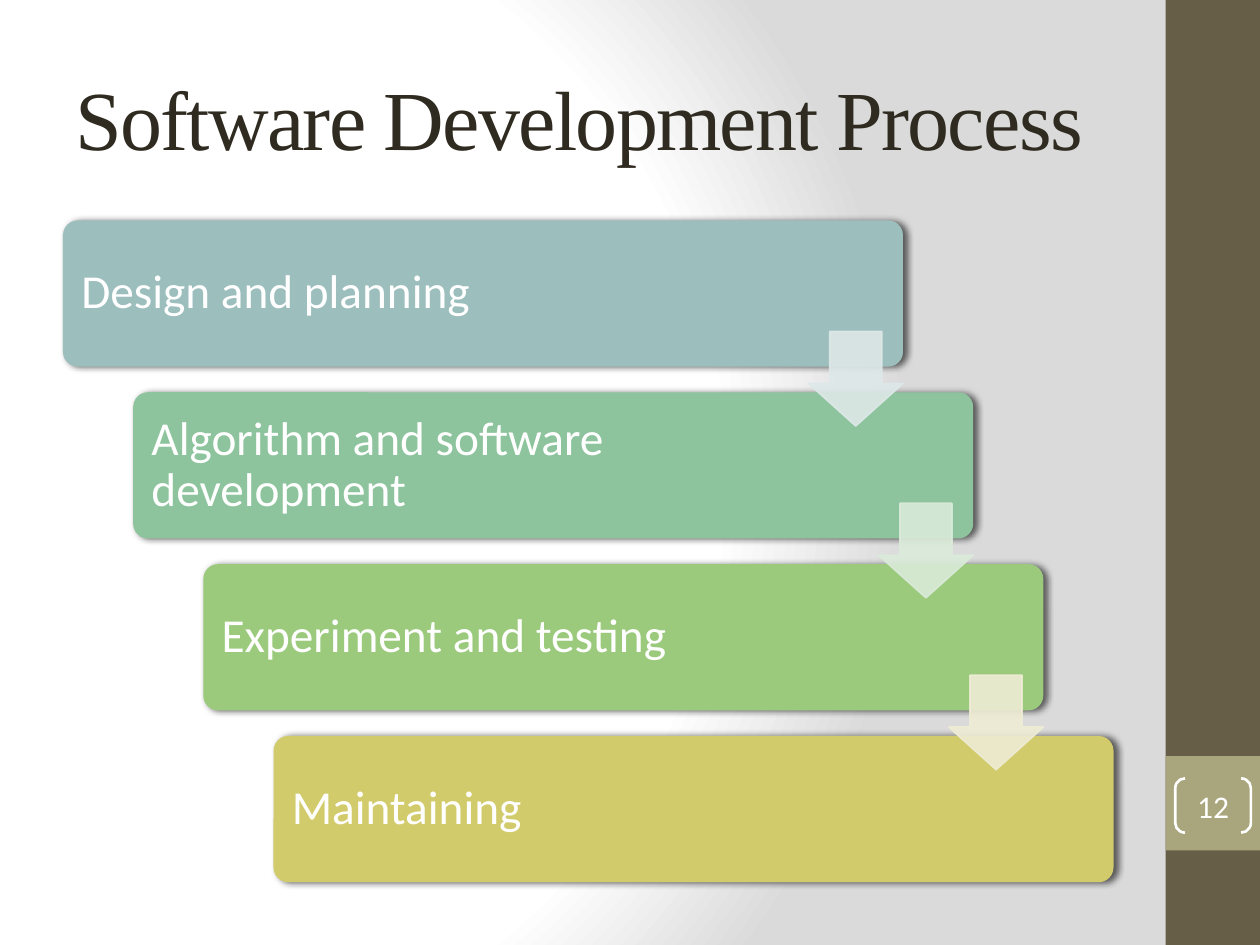
from pptx import Presentation
from pptx.dml.color import RGBColor
from pptx.enum.shapes import MSO_SHAPE as SHAPE
from pptx.enum.text import MSO_ANCHOR as ANCHOR, PP_ALIGN as ALIGN
from pptx.oxml import parse_xml
from pptx.oxml.ns import nsdecls, qn
from pptx.util import Pt
from lxml.etree import SubElement

WHITE = RGBColor(0xFF, 0xFF, 0xFF)
INK = RGBColor(0x2F, 0x2B, 0x20)
BROWN = RGBColor(0x67, 0x5E, 0x47)
KHAKI = RGBColor(0xA9, 0xA5, 0x7C)

# Step text, box colour, colour of the arrow to the next step
STEPS = [
    ("Design and planning", RGBColor(0x9C, 0xBE, 0xBD), RGBColor(0xDE, 0xE8, 0xE8)),
    ("Algorithm and software development", RGBColor(0x8D, 0xC4, 0x9D), RGBColor(0xDA, 0xEB, 0xD9)),
    ("Experiment and testing", RGBColor(0x9B, 0xCA, 0x7D), RGBColor(0xEE, 0xEC, 0xD4)),
    ("Maintaining", RGBColor(0xD2, 0xCB, 0x6C), None),
]
LEFT, TOP = 36, 126
STEP_X, STEP_Y = 40.1, 98.2
BOX_W, BOX_H, ARROW = 480, 83.5, 54

BACKGROUND = f"""<a:gradFill {nsdecls("a")} rotWithShape="1"><a:gsLst>
<a:gs pos="0"><a:srgbClr val="FFFFFF"/></a:gs>
<a:gs pos="75000"><a:srgbClr val="FFFFFF"/></a:gs>
<a:gs pos="100000"><a:srgbClr val="DADADA"/></a:gs></a:gsLst>
<a:path path="circle"><a:fillToRect l="20000" t="50000" r="100000" b="50000"/></a:path>
</a:gradFill>"""
SHADOW = f"""<a:outerShdw {nsdecls("a")} blurRad="{Pt(4)}" dist="{Pt(2)}" dir="0" rotWithShape="0">
<a:srgbClr val="000000"><a:alpha val="60000"/></a:srgbClr></a:outerShdw>"""


def add_shape(kind, x, y, w, h, fill=None):
    sp = s.shapes.add_shape(kind, Pt(x), Pt(y), Pt(w), Pt(h))
    sp.shadow.inherit = False
    sp.line.fill.background()
    if fill is None:
        sp.fill.background()
    else:
        sp.fill.solid()
        sp.fill.fore_color.rgb = fill
    return sp


def write(sp, text, font, size, color, align=ALIGN.LEFT):
    tf = sp.text_frame
    tf.word_wrap = True
    tf.vertical_anchor = ANCHOR.MIDDLE
    tf.text = text
    p = tf.paragraphs[0]
    p.alignment = align
    r = p.runs[0]
    r.font.name, r.font.size, r.font.color.rgb = font, Pt(size), color
    return p


prs = Presentation()
prs.slide_width, prs.slide_height = Pt(720), Pt(540)
s = prs.slides.add_slide(prs.slide_layouts[6])

s.background.fill.gradient()
grad = s._element.find(".//" + qn("a:gradFill"))
grad.getparent().replace(grad, parse_xml(BACKGROUND))

# Side band with the slide number
add_shape(SHAPE.RECTANGLE, 666, 0, 54, 540, BROWN)
add_shape(SHAPE.RECTANGLE, 666, 432, 54, 54, KHAKI)
number = add_shape(SHAPE.DOUBLE_BRACKET, 671.6, 444.8, 43.2, 31)
number.adjustments[0] = 0.18
number.line.color.rgb = WHITE
number.line.width = Pt(1.5)
tf = number.text_frame
tf.margin_left = tf.margin_right = tf.margin_top = tf.margin_bottom = 0
write(number, "12", "Calibri", 18, WHITE, ALIGN.CENTER)

title = s.shapes.add_textbox(Pt(36), Pt(21.6), Pt(600), Pt(90))
p = write(title, "Software Development Process", "Times New Roman", 48, INK)
p.runs[0].font._element.set("spc", "-100")

# Staircase of steps
for i, (text, color, _) in enumerate(STEPS):
    box = add_shape(SHAPE.ROUNDED_RECTANGLE, LEFT + i * STEP_X, TOP + i * STEP_Y, BOX_W, BOX_H, color)
    box.adjustments[0] = 0.1
    box._element.spPr.find(qn("a:effectLst")).append(parse_xml(SHADOW))
    box.text_frame.margin_left = Pt(8)
    box.text_frame.margin_right = Pt(100)
    write(box, text, "Calibri", 27, WHITE).line_spacing = 0.9

# Arrows are drawn last so that they overlap both neighbouring boxes
for i, (_, _, color) in enumerate(STEPS[:-1]):
    x = LEFT + BOX_W - ARROW + i * STEP_X
    arrow = add_shape(SHAPE.DOWN_ARROW, x, 189.4 + i * STEP_Y, ARROW, ARROW, color)
    arrow.adjustments[0], arrow.adjustments[1] = 0.55, 0.45
    arrow.line.color.rgb = color
    arrow.line.width = Pt(1)
    for clr in arrow._element.spPr.iter(qn("a:srgbClr")):
        SubElement(clr, qn("a:alpha"), val="90000")

prs.save("out.pptx")
